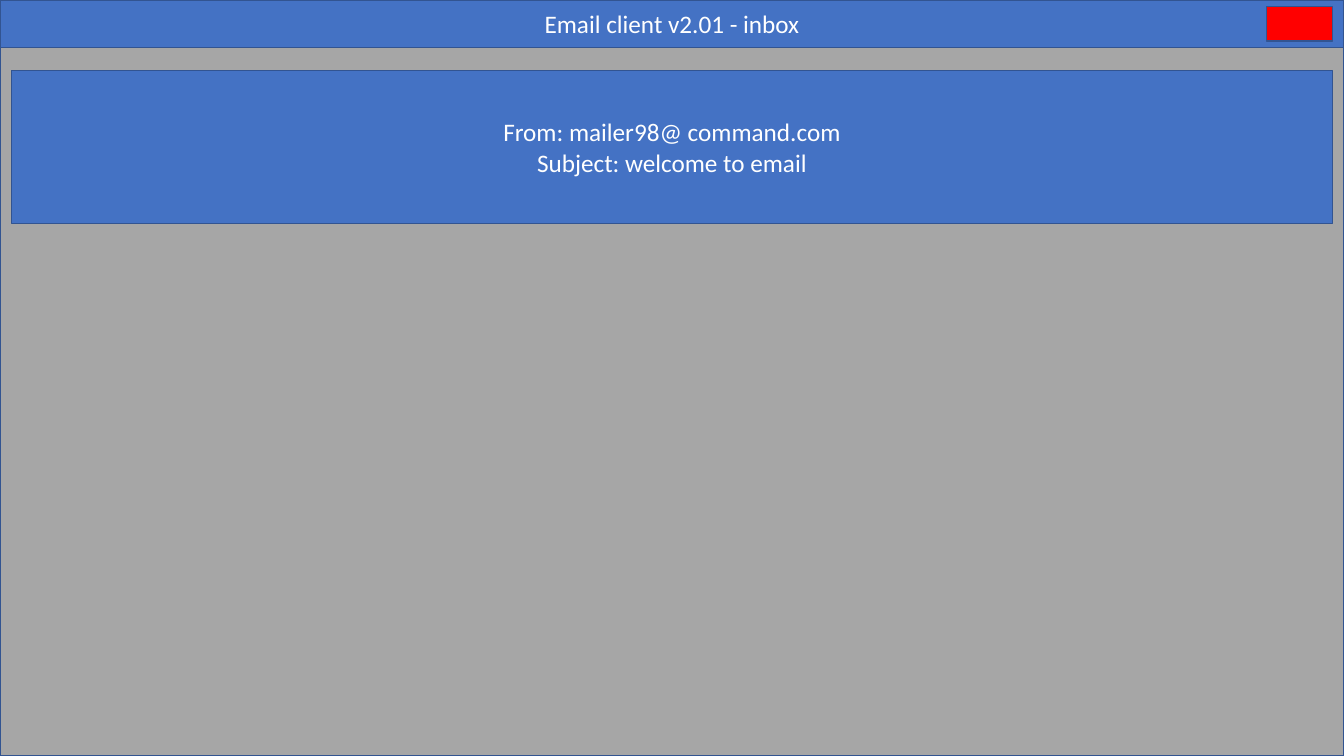
from dataclasses import dataclass

from pptx import Presentation
from pptx.dml.color import RGBColor
from pptx.enum.shapes import MSO_SHAPE
from pptx.enum.text import MSO_ANCHOR, MSO_AUTO_SIZE, PP_ALIGN
from pptx.util import Pt

PX = 9525
WIDTH, HEIGHT = 1280, 720
BAR_HEIGHT = 45


@dataclass(frozen=True)
class Theme:
    blue: RGBColor = RGBColor(0x44, 0x72, 0xC4)
    outline: RGBColor = RGBColor(0x32, 0x54, 0x91)
    gray: RGBColor = RGBColor(0xA6, 0xA6, 0xA6)
    red: RGBColor = RGBColor(0xFF, 0x00, 0x00)
    white: RGBColor = RGBColor(0xFF, 0xFF, 0xFF)
    font: str = "Calibri"
    size: int = 18
    line: int = 1


class SlideBuilder:
    def __init__(self, slide, theme):
        self.slide = slide
        self.theme = theme

    def paint(self, sp, fill):
        sp.fill.solid()
        sp.fill.fore_color.rgb = fill
        sp.line.color.rgb = self.theme.outline
        sp.line.width = Pt(self.theme.line)

    def label(self, sp, text):
        tf = sp.text_frame
        tf.text = text
        tf.word_wrap = True
        tf.auto_size = MSO_AUTO_SIZE.NONE
        tf.vertical_anchor = MSO_ANCHOR.MIDDLE
        for p in tf.paragraphs:
            p.alignment = PP_ALIGN.CENTER
            for r in p.runs:
                r.font.name = self.theme.font
                r.font.size = Pt(self.theme.size)
                r.font.color.rgb = self.theme.white

    def title(self, x, y, w, h, text):
        sp = self.slide.shapes.title
        sp.left, sp.top, sp.width, sp.height = (v * PX for v in (x, y, w, h))
        self.paint(sp, self.theme.blue)
        self.label(sp, text)

    def box(self, x, y, w, h, fill, text=""):
        sp = self.slide.shapes.add_shape(
            MSO_SHAPE.RECTANGLE, *(v * PX for v in (x, y, w, h)))
        sp.shadow.inherit = False
        self.paint(sp, fill)
        if text:
            self.label(sp, text)


def main():
    prs = Presentation()
    prs.slide_width, prs.slide_height = WIDTH * PX, HEIGHT * PX
    theme = Theme()
    s = SlideBuilder(prs.slides.add_slide(prs.slide_layouts[5]), theme)
    s.title(0, 0, WIDTH, BAR_HEIGHT, "Email client v2.01 - inbox")
    s.box(0, BAR_HEIGHT, WIDTH, HEIGHT - BAR_HEIGHT, theme.gray)
    s.box(1206, 6, 63, 33, theme.red)
    s.box(11, 67, 1258, 146, theme.blue,
          "From: mailer98@ command.com\nSubject: welcome to email")
    prs.save("out.pptx")


if __name__ == "__main__":
    main()
